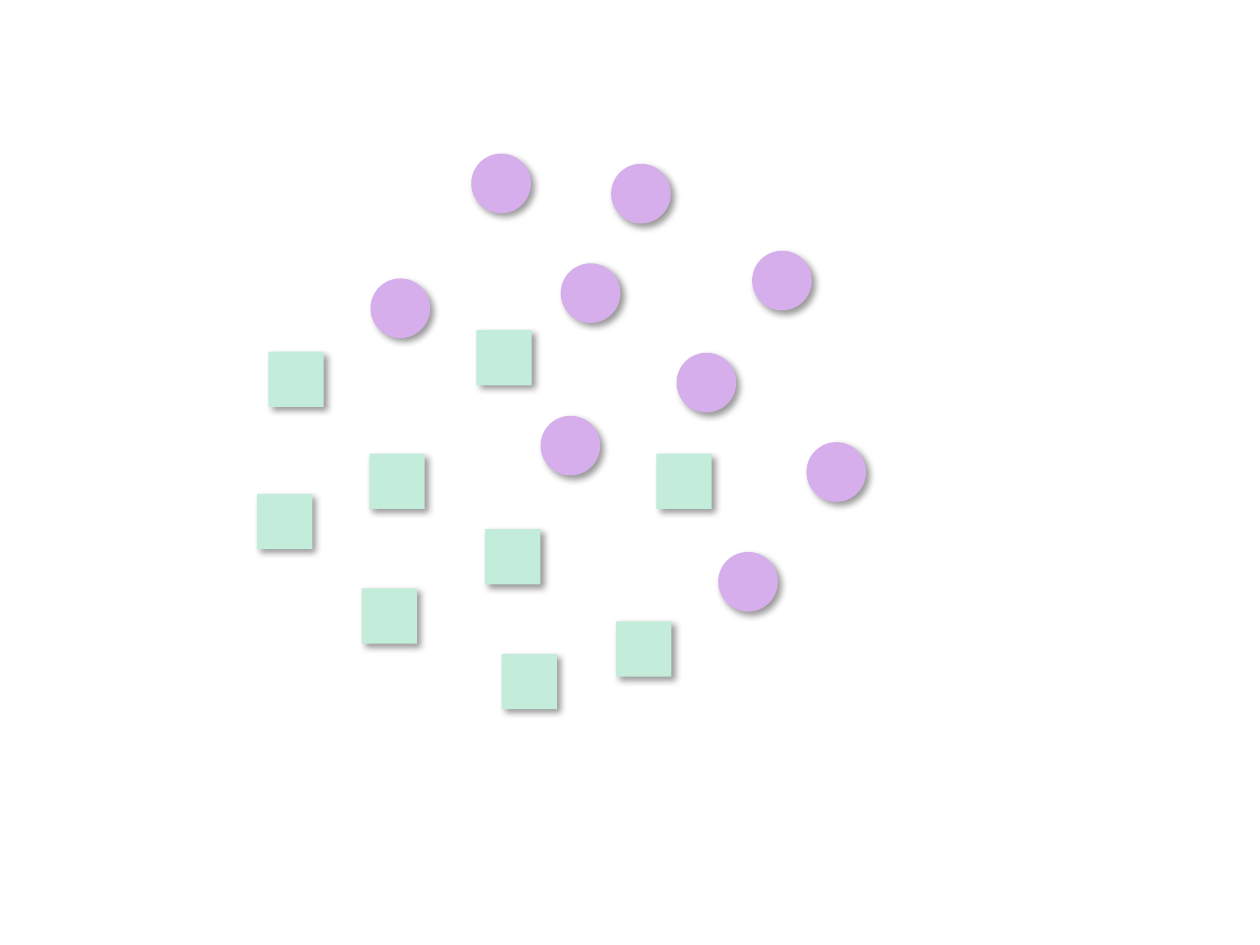
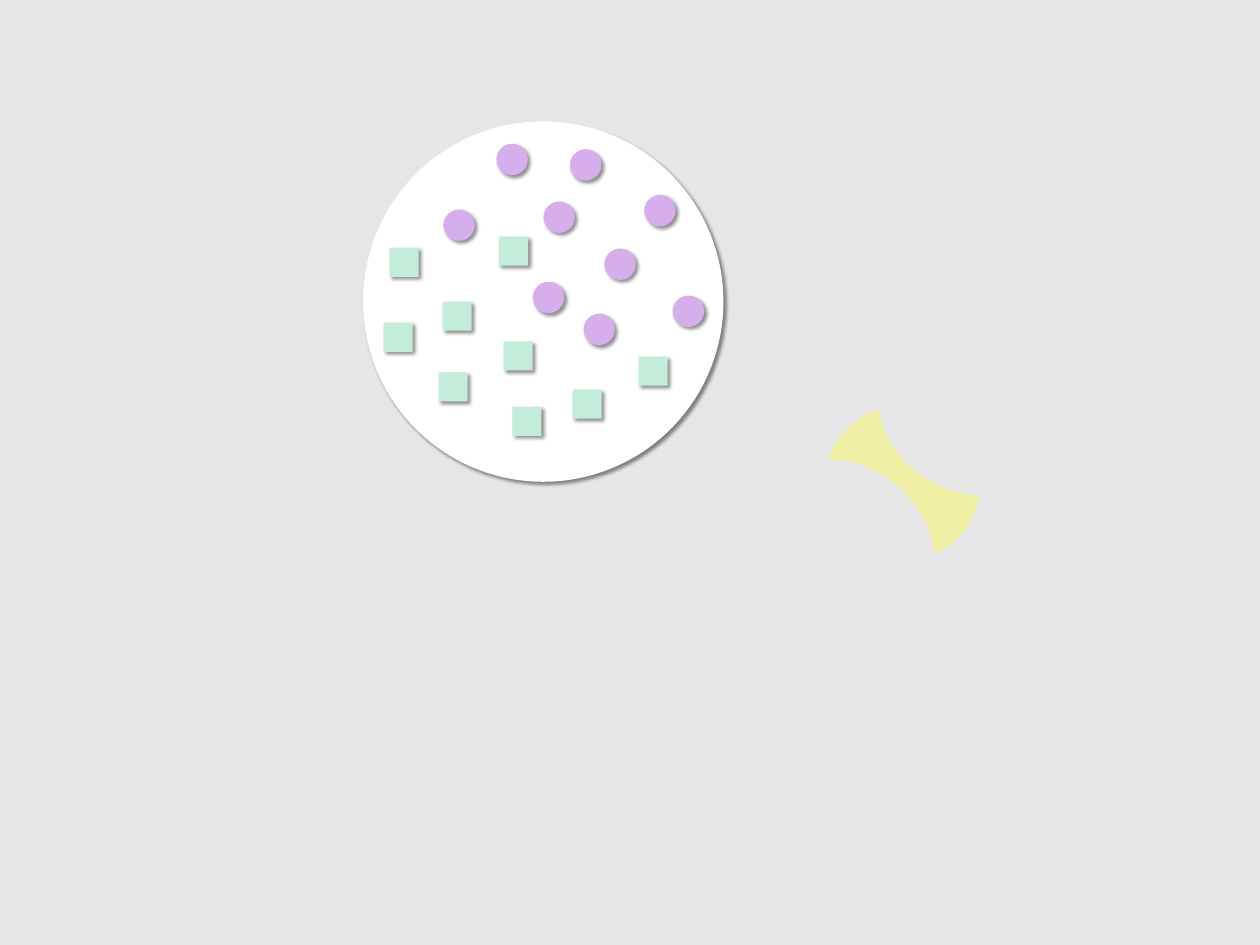
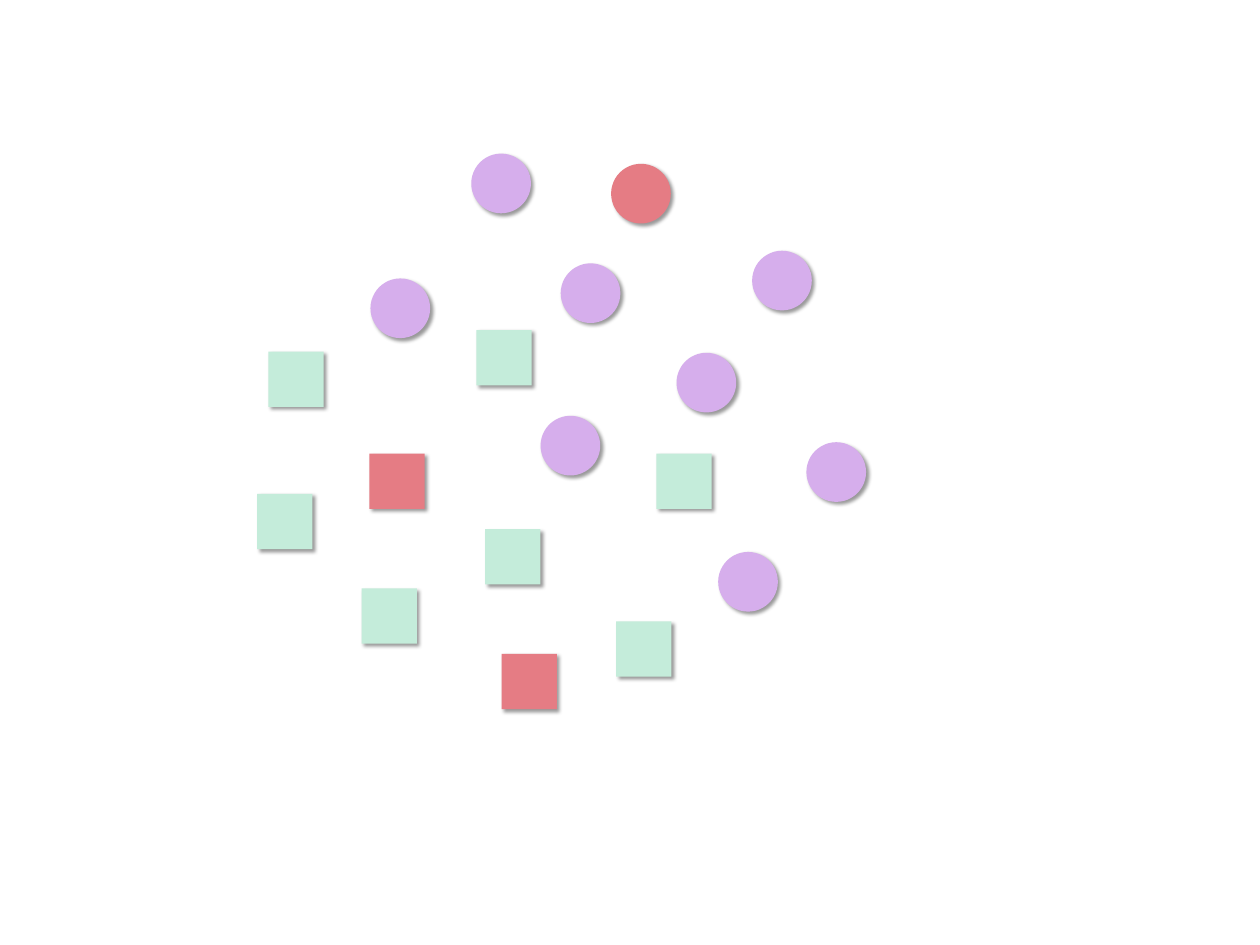
from lxml import etree
from pptx import Presentation
from pptx import util as u
from pptx.dml.color import RGBColor
from pptx.enum import shapes
from pptx.oxml import ns

COLORS = {
    "square": "C4ECDA",
    "circle": "D6AEEC",
    "marked": "E57C84",
    "dish": "FFFFFF",
    "bone": "FFFF00",
    "shadow": "000000",
    "white": "FFFFFF",
    "gray": "E7E6E6",
}
KINDS = {
    "square": (shapes.MSO_SHAPE.RECTANGLE, 31.6),
    "circle": (shapes.MSO_SHAPE.OVAL, 34.1),
}
TILTED = ("circle", 2)
SPOTS = {
    "square": [
        (153.4, 200.9), (286.6, 373.7), (206.6, 336.2),
        (146.9, 282.2), (211, 259.2), (272.2, 188.6),
        (277.2, 302.4), (375.1, 259.2), (352.1, 355),
    ],
    "circle": [
        (349.2, 93.6), (386.6, 201.6), (410.4, 315.4),
        (308.9, 237.6), (460.8, 252.7), (320.4, 150.5),
        (269.3, 87.8), (429.8, 143.3), (211.7, 159.1),
    ],
}
SCENES = [
    {"ground": "white", "scale": 1, "shift": (0, 0), "shadow": (40, 4, 3),
     "marked": set(), "moved": {}, "grouped": False},
    {"ground": "gray", "scale": 0.526, "shift": (142, 36), "shadow": (43, 2, 2),
     "marked": set(), "grouped": True,
     "moved": {("square", 7): (365, 203.8), ("circle", 2): (333.4, 179.3)}},
    {"ground": "white", "scale": 1, "shift": (0, 0), "shadow": (40, 2, 2),
     "marked": {("square", 1), ("square", 4), ("circle", 0)}, "moved": {},
     "grouped": True},
]
BONE_START = (501.8, 234)
BONE_STEPS = [
    [(505.4, 245.5)],
    [(513.4, 265.7), (532.8, 280.1), (555.8, 283)],
    [(559.4, 283)],
    [(558.7, 287.3)],
    [(555.8, 298.1), (549.4, 307.4), (540.7, 313.2)],
    [(534.2, 316.8)],
    [(533.5, 311.8)],
    [(527.8, 285.8), (506.2, 265.7), (478.8, 262.8)],
    [(473.8, 262.8)],
    [(474.5, 259.2)],
    [(478.8, 249.1), (486.7, 241.2), (496.1, 236.2)],
]
CURVE_PARTS = 12


def paint(shape, color):
    shape.shadow.inherit = False
    shape.fill.solid()
    shape.fill.fore_color.rgb = RGBColor.from_string(COLORS[color])
    shape.line.fill.background()


def add_piece(owner, kind, left, top, size, color, shadow):
    piece = owner.add_shape(kind, u.Pt(left), u.Pt(top), u.Pt(size), u.Pt(size))
    paint(piece, color)
    opacity, blur, distance = shadow
    effects = piece.element.spPr.find(ns.qn("a:effectLst"))
    cast = etree.SubElement(
        effects, ns.qn("a:outerShdw"), blurRad=str(u.Pt(blur)),
        dist=str(u.Pt(distance)), dir="2700000", algn="tl", rotWithShape="0")
    tone = etree.SubElement(cast, ns.qn("a:srgbClr"), val=COLORS["shadow"])
    etree.SubElement(tone, ns.qn("a:alpha"), val=str(opacity * 1000))
    return piece


deck = Presentation()
deck.slide_width, deck.slide_height = u.Pt(720), u.Pt(540)

for scene in SCENES:
    slide = deck.slides.add_slide(deck.slide_layouts[6])
    slide.background.fill.solid()
    slide.background.fill.fore_color.rgb = RGBColor.from_string(COLORS[scene["ground"]])
    owner = slide.shapes.add_group_shape().shapes if scene["grouped"] else slide.shapes
    scale, (shift_x, shift_y) = scene["scale"], scene["shift"]

    if scene["ground"] == "gray":
        add_piece(owner, shapes.MSO_SHAPE.OVAL, 207.4, 69.3, 206, "dish", scene["shadow"])

    for name, (kind, size) in KINDS.items():
        for number, (x, y) in enumerate(SPOTS[name]):
            key = (name, number)
            left, top = scene["moved"].get(key, (x * scale + shift_x, y * scale + shift_y))
            color = "marked" if key in scene["marked"] else name
            piece = add_piece(owner, kind, left, top, size * scale, color, scene["shadow"])
            if key == TILTED:
                piece.rotation = 315.7

    if scene["ground"] == "gray":
        outline = [BONE_START]
        for step in BONE_STEPS:
            if len(step) == 1:
                outline += step
                continue
            corners = [outline[-1], *step]
            for part in range(1, CURVE_PARTS + 1):
                t = part / CURVE_PARTS
                weights = ((1 - t) ** 3, 3 * t * (1 - t) ** 2, 3 * t ** 2 * (1 - t), t ** 3)
                outline.append(tuple(
                    sum(w * corner[axis] for w, corner in zip(weights, corners))
                    for axis in (0, 1)))
        tenths = [(x * 10, y * 10) for x, y in outline]
        builder = slide.shapes.build_freeform(*tenths[0], scale=u.Pt(0.1))
        builder.add_line_segments(tenths[1:], close=True)
        bone = builder.convert_to_shape()
        paint(bone, "bone")
        tone = bone.element.spPr.find(ns.qn("a:solidFill"))[0]
        etree.SubElement(tone, ns.qn("a:alpha"), val="29000")

deck.save("out.pptx")
